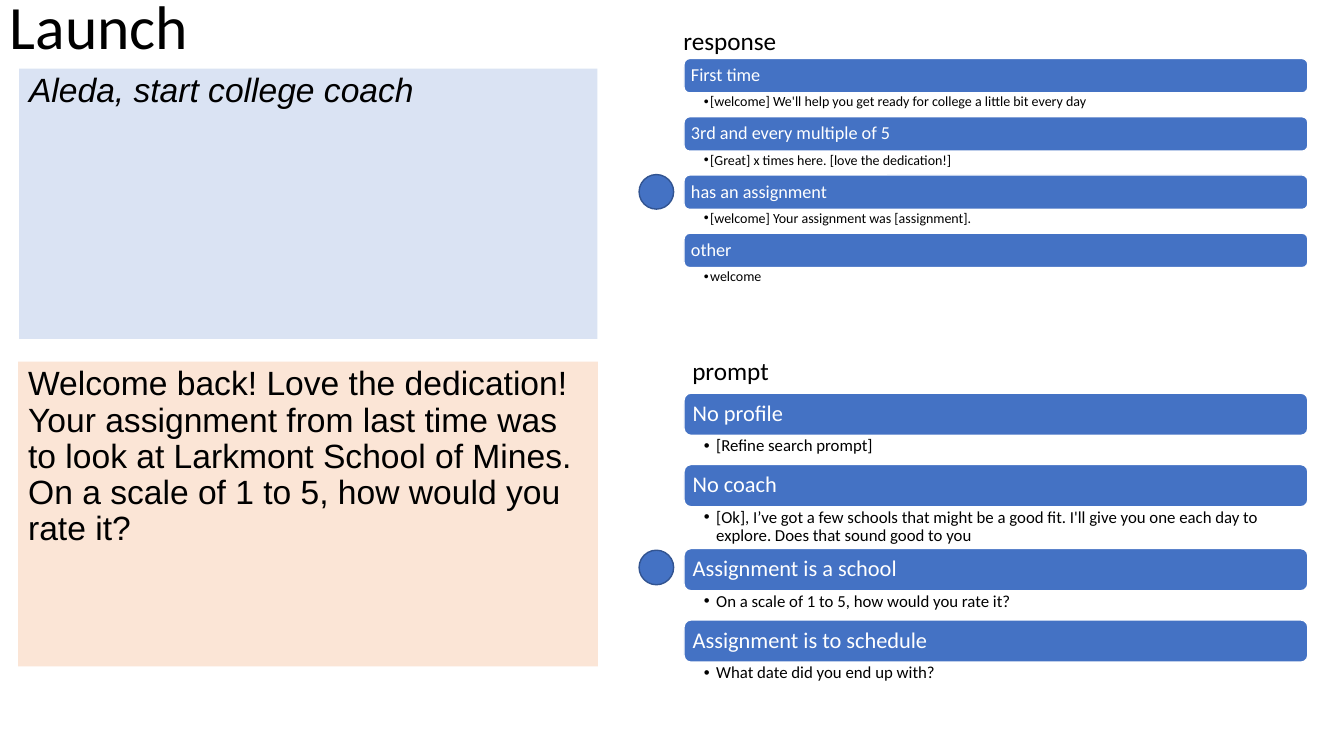
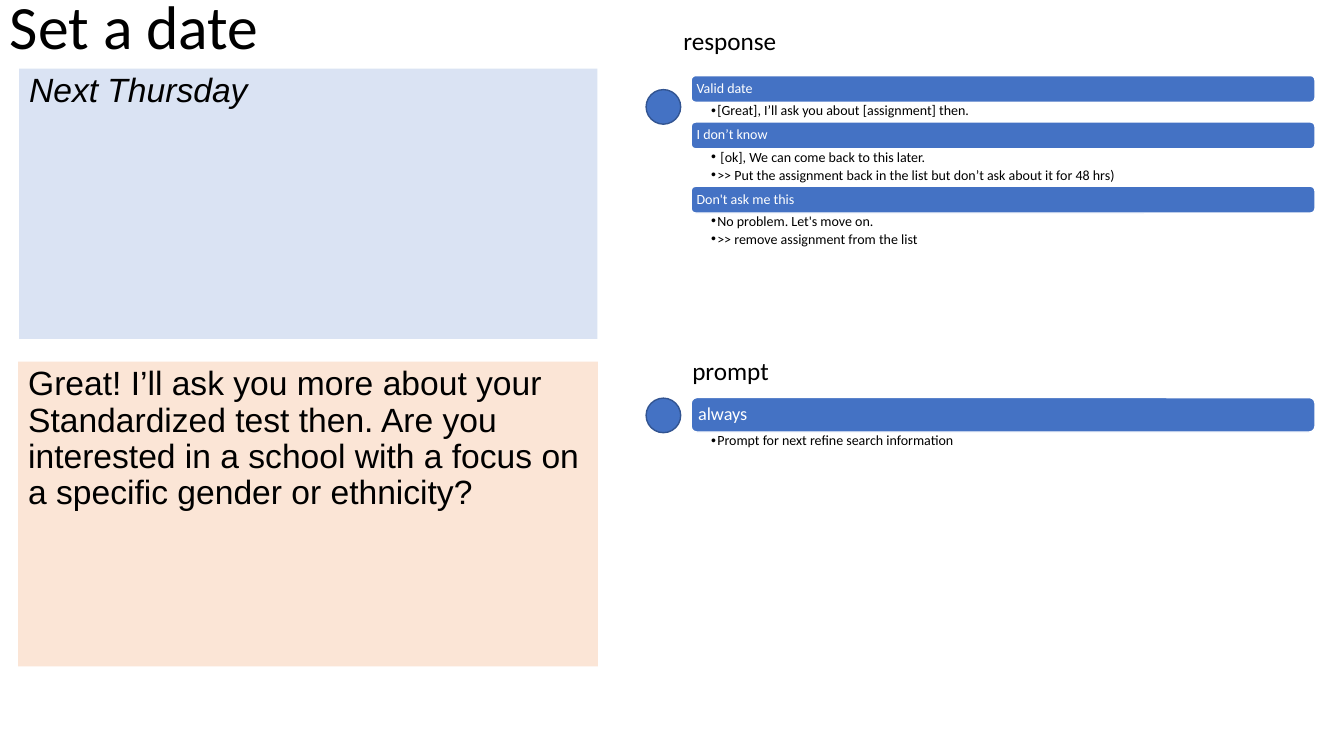
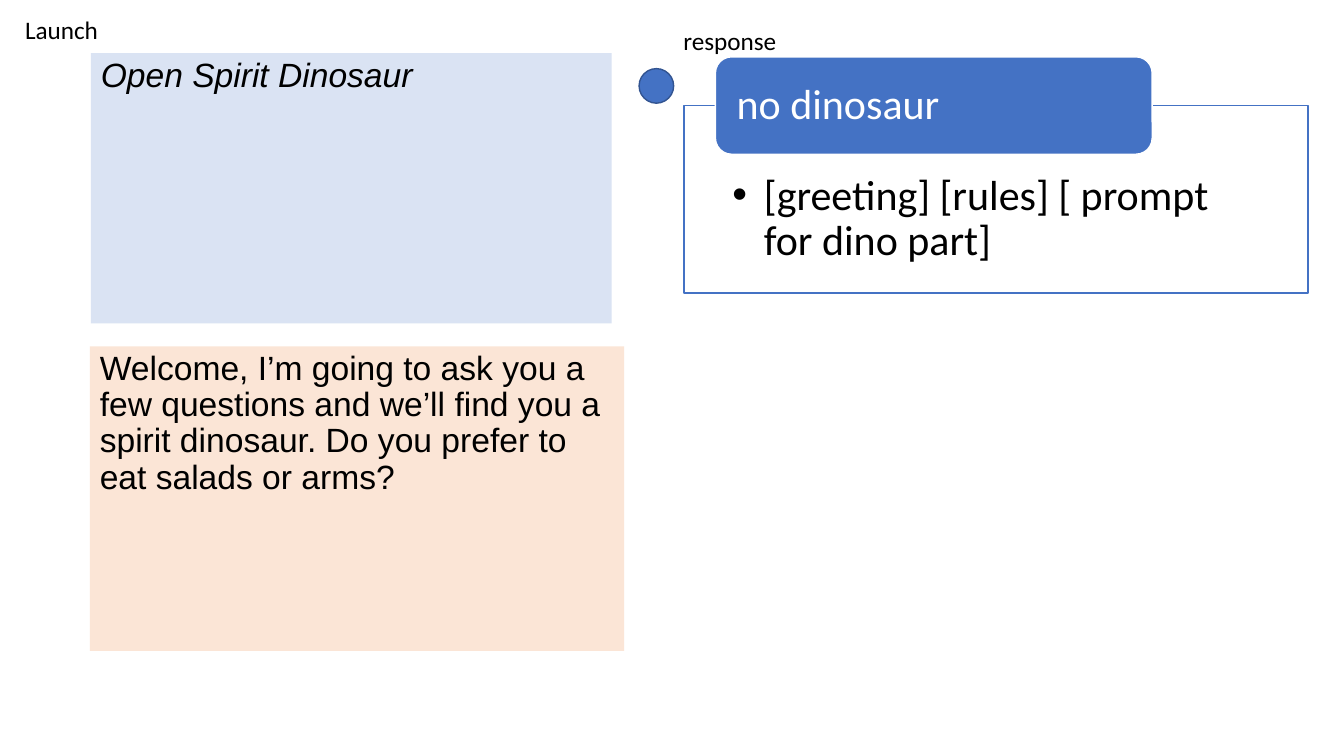
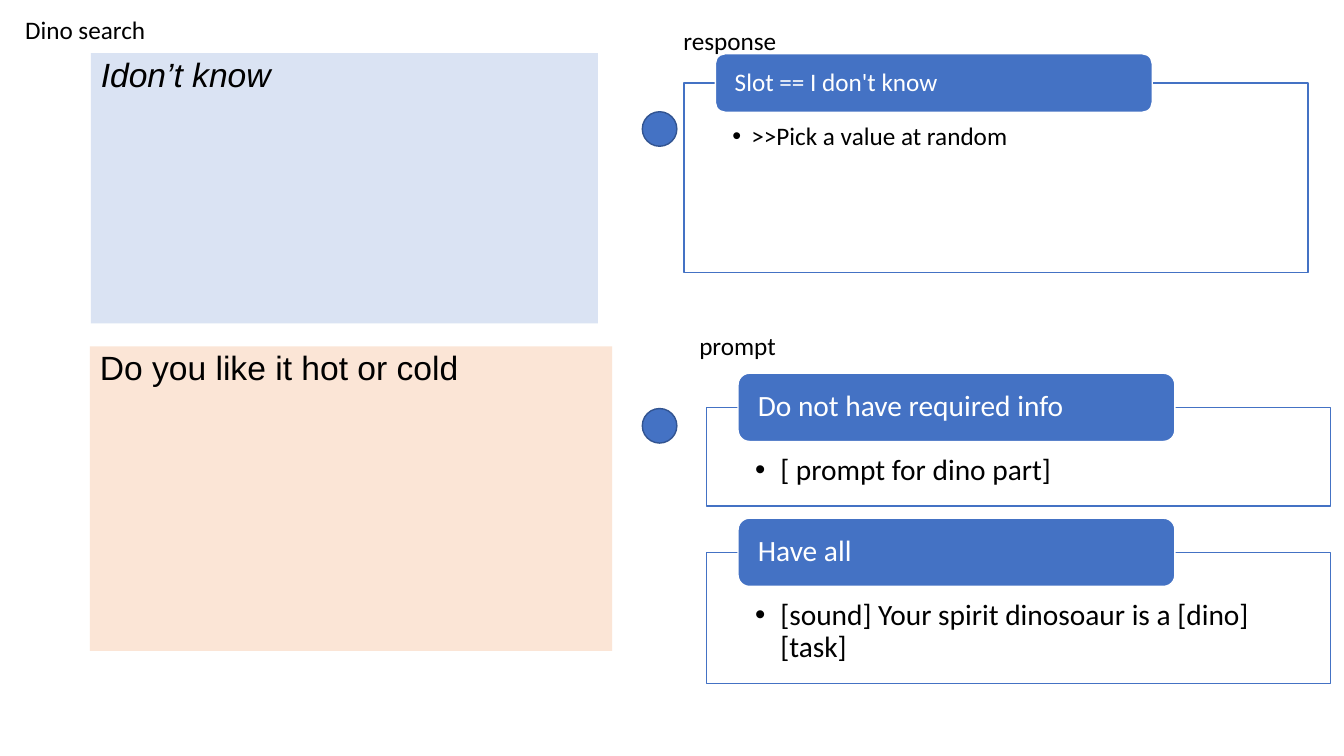
from pptx import Presentation
from pptx.dml.color import RGBColor
from pptx.enum.shapes import MSO_SHAPE as Preset
from pptx.enum.text import MSO_ANCHOR as Anchor
from pptx.oxml.ns import qn
from pptx.util import Pt
from lxml.etree import SubElement

# ---- Content ----
COLORS = {"black": "000000", "white": "FFFFFF", "blue": "4472C4",
          "navy": "325491", "user": "DAE3F3", "reply": "FBE5D6"}
HEAD_FONT, SPEECH_FONT = "Calibri", "Arial"

# Bar lists: text sizes, bar height, detail height by line count, insets
LIST_STYLES = {
    "small": dict(head=10, detail=10, bar=19.1, rows={1: 14.1, 2: 26.8},
                  inset=3, top=0.9, hang=4.5),
    "medium": dict(head=13, detail=10, bar=24.6, rows={1: 17},
                   inset=3.8, top=1.3, hang=4.5),
    "large": dict(head=16, detail=12, bar=30.2, rows={1: 20.8, 2: 29.8},
                  inset=4.8, top=1.5, hang=8.8),
}

# Bar list: (style, left, top, [(condition, details, line count)])
# Card list: (text size, hang, left, top, [(condition, detail, frame height)])
# Panels: (left, top, width of user panel, width of reply panel)
SLIDES = [
    dict(title="Launch", big_title=True, panels=(13.7, 49, 413, 414),
         user="Aleda, start college coach",
         reply="Welcome back! Love the dedication! Your assignment from last "
               "time was to look at Larkmont School of Mines. On a scale of "
               "1 to 5, how would you rate it?",
         labels=[("response", 481, 14.4), ("prompt", 487.4, 250)],
         dots=[(456.5, 124.7), (456.5, 393)],
         bars=[
             ("medium", 488.6, 41.8, [
                 ("First time", ["[welcome] We'll help you get ready for "
                                 "college a little bit every day"], 1),
                 ("3rd and every multiple of 5",
                  ["[Great] x times here. [love the dedication!]"], 1),
                 ("has an assignment",
                  ["[welcome] Your assignment was [assignment]."], 1),
                 ("other", ["welcome"], 1)]),
             ("large", 488.6, 280.8, [
                 ("No profile", ["[Refine search prompt]"], 1),
                 ("No coach", ["[Ok], I’ve got a few schools that might be a "
                               "good fit. I'll give you one each day to "
                               "explore. Does that sound good to you"], 2),
                 ("Assignment is a school",
                  ["On a scale of 1 to 5, how would you rate it?"], 1),
                 ("Assignment is to schedule",
                  ["What date did you end up with?"], 1)])]),
    dict(title="Set a date", big_title=True, panels=(13.7, 49, 413, 414),
         user="Next Thursday",
         reply="Great! I’ll ask you more about your Standardized test then. "
               "Are you interested in a school with a focus on a specific "
               "gender or ethnicity?",
         labels=[("response", 481, 14.4), ("prompt", 487.4, 250)],
         dots=[(461.5, 64), (461.5, 284.4)],
         bars=[
             ("small", 493.7, 54, [
                 ("Valid date",
                  ["[Great], I’ll ask you about [assignment] then."], 1),
                 ("I don’t know",
                  [" [ok], We can come back to this later.",
                   ">> Put the assignment back in the list but don’t ask "
                   "about it for 48 hrs)"], 2),
                 ("Don't ask me this",
                  ["No problem. Let's move on.",
                   ">> remove assignment from the list"], 2)]),
             ("medium", 493.7, 284, [
                 ("always",
                  ["Prompt for next refine search information"], 1)])]),
    dict(title="Launch", panels=(64.9, 38, 372, 381.6),
         user="Open Spirit Dinosaur",
         reply="Welcome, I’m going to ask you a few questions and we’ll find "
               "you a spirit dinosaur. Do you prefer to eat salads or arms?",
         labels=[("response", 481, 14.4)],
         dots=[(456.5, 49)],
         cards=[(30, 22.5, 488.6, 40.6, [
             ("no dinosaur", "[greeting] [rules] [ prompt for dino part]",
              134)])]),
    dict(title="Dino search", panels=(64.9, 38, 362.2, 373),
         user="Idon’t know", reply="Do you like it hot or cold",
         labels=[("response", 481, 14.4), ("prompt", 492.4, 232.6)],
         dots=[(458.8, 79.8), (458.8, 291.8)],
         cards=[
             (18, 13.5, 488.6, 38.4, [
                 ("Slot == I don't know", ">>Pick a value at random", 135.4)]),
             (21, 18, 504.8, 266.6, [
                 ("Do not have required info", "[ prompt for dino part]", 70.6),
                 ("Have all", "[sound] Your spirit dinosoaur is a [dino] "
                              "[task]", 93.6)])]),
]

# ---- Shared measures ----
USER_H, REPLY_H, REPLY_DROP = 193, 217.6, 209.4
LIST_W, DOT = 445.6, 24.7
LABEL_W, LABEL_H = 120, 29
TAG_W, TAG_SHIFT, CARD_GAP = 312, 22.4, 8.6

deck = Presentation()
deck.slide_width, deck.slide_height = Pt(960), Pt(540)


# ---- Helpers ----
def rgb(name):
    return RGBColor.from_string(COLORS[name])


def write(shape, lines, size, color="black", font=HEAD_FONT, spacing=0.9,
          italic=False, insets=(7.2, 3.6, 7.2, 3.6), anchor=Anchor.TOP,
          hang=0, after=0):
    frame = shape.text_frame
    frame.word_wrap, frame.vertical_anchor = True, anchor
    (frame.margin_left, frame.margin_top,
     frame.margin_right, frame.margin_bottom) = map(Pt, insets)
    for i, line in enumerate(lines):
        para = frame.add_paragraph() if i else frame.paragraphs[0]
        para.text = line
        para.line_spacing, para.space_after = spacing, Pt(after)
        para.font.size, para.font.name = Pt(size), font
        para.font.italic, para.font.color.rgb = italic, rgb(color)
        props = para._p.get_or_add_pPr()
        props.set("algn", "l")
        if hang:
            props.set("marL", str(Pt(hang)))
            props.set("indent", str(-Pt(hang)))
            SubElement(props, qn("a:buFont")).set("typeface", "Arial")
            SubElement(props, qn("a:buChar")).set("char", "•")


def text_box(slide, box, lines, size, **style):
    write(slide.shapes.add_textbox(*map(Pt, box)), lines, size, **style)


def block(slide, preset, box, fill, line=None):
    shape = slide.shapes.add_shape(preset, *map(Pt, box))
    shape.shadow.inherit = False
    shape.fill.solid()
    shape.fill.fore_color.rgb = rgb(fill)
    if line:
        shape.line.color.rgb, shape.line.width = rgb(line), Pt(1)
    else:
        shape.line.fill.background()
    return shape


def heading(slide, box, words, size, inset):
    bar = block(slide, Preset.ROUNDED_RECTANGLE, box, "blue", "white")
    write(bar, [words], size, "white", insets=(inset, 0, inset, 0),
          anchor=Anchor.MIDDLE)


def bar_list(slide, style, left, top, items):
    look = LIST_STYLES[style]
    for condition, details, line_count in items:
        heading(slide, (left, top, LIST_W, look["bar"]), condition,
                look["head"], look["inset"])
        top += look["bar"]
        row = look["rows"][line_count]
        text_box(slide, (left, top, LIST_W, row), details, look["detail"],
                 insets=(14.2, look["top"], 7, look["top"]),
                 hang=look["hang"], after=2)
        top += row


def card_list(slide, size, hang, left, top, items):
    tag_h = 2.32 * size
    for condition, detail, frame_h in items:
        frame_top = top + tag_h / 2
        card = block(slide, Preset.RECTANGLE,
                     (left, frame_top, LIST_W, frame_h), "white", "blue")
        write(card, [detail], size, hang=hang,
              insets=(34.6, 1.63 * size, 34.6, 0.5 * size))
        heading(slide, (left + TAG_SHIFT, top, TAG_W, tag_h), condition,
                size, 11.8)
        top = frame_top + frame_h + CARD_GAP


def label(slide, words, left, top):
    text_box(slide, (left, top, LABEL_W, LABEL_H), [words], 18, spacing=1)


# ---- Slides ----
for content in SLIDES:
    slide = deck.slides.add_slide(deck.slide_layouts[6])

    # Title
    if content.get("big_title"):
        text_box(slide, (0, 0, 828, 42), [content["title"]], 44,
                 insets=(7.2, 0, 7.2, 0), anchor=Anchor.MIDDLE)
    else:
        label(slide, content["title"], 10.8, 6.5)

    # Spoken lines
    left, top, user_w, reply_w = content["panels"]
    speech = [("user", (left, top, user_w, USER_H)),
              ("reply", (left - 0.7, top + REPLY_DROP, reply_w, REPLY_H))]
    for speaker, box in speech:
        write(block(slide, Preset.RECTANGLE, box, speaker), [content[speaker]],
              24, font=SPEECH_FONT, italic=speaker == "user")

    # Response and prompt rules
    for bars in content.get("bars", []):
        bar_list(slide, *bars)
    for cards in content.get("cards", []):
        card_list(slide, *cards)
    for words, x, y in content["labels"]:
        label(slide, words, x, y)

    # Markers of the rule in use
    for x, y in content["dots"]:
        block(slide, Preset.OVAL, (x, y, DOT, DOT), "blue", "navy")

deck.save("out.pptx")
